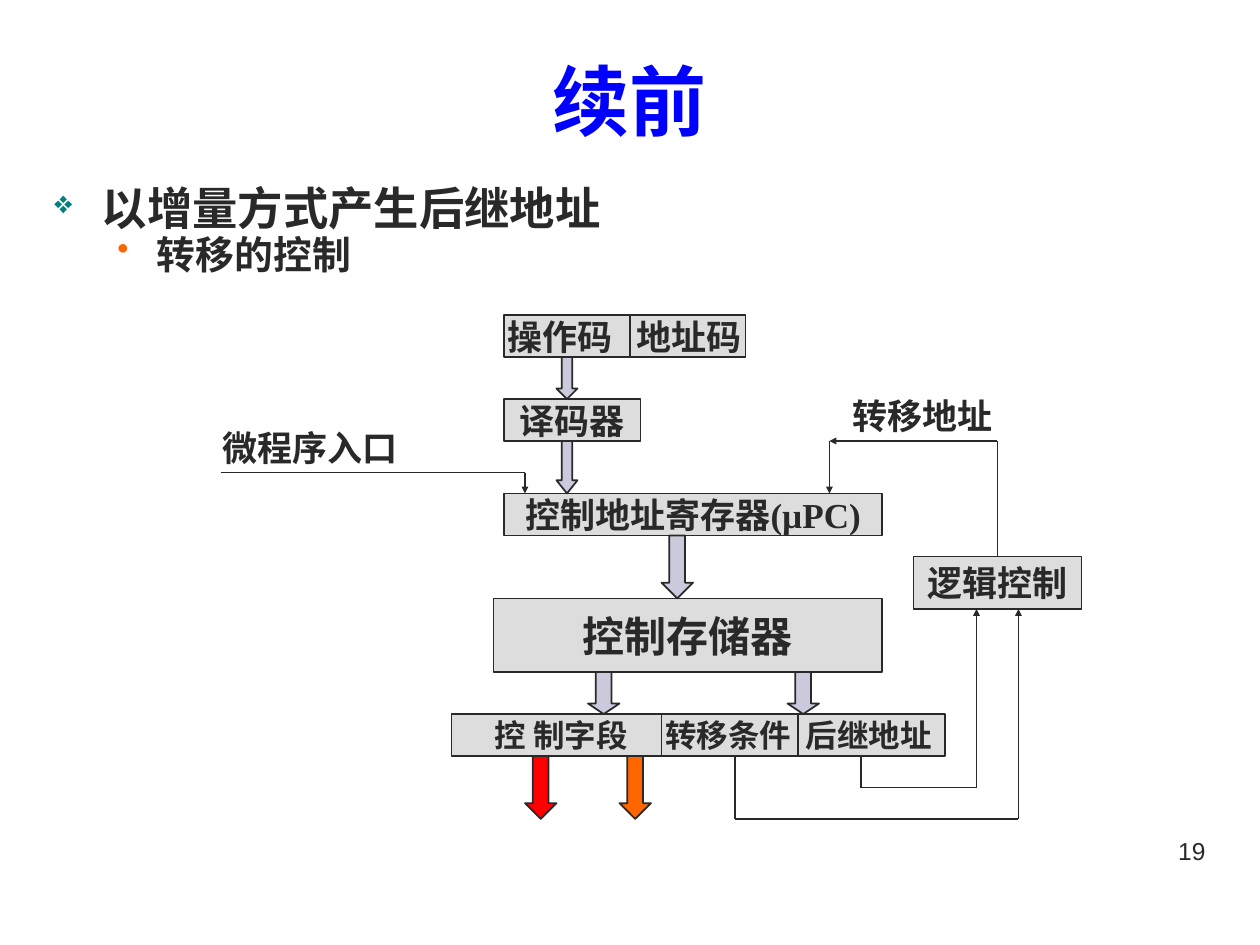
from dataclasses import dataclass

from lxml import etree
from pptx import Presentation
from pptx.dml.color import RGBColor
from pptx.enum import shapes, text
from pptx.oxml.ns import qn
from pptx.util import Emu, Pt

PX = 9525  # 96 px to the inch
INK, GREY, LILAC = "292929", "DDDDDD", "CACADC"
SERIF, SANS = "Times New Roman", "Arial"
LEFT, CENTER, RIGHT = text.PP_ALIGN.LEFT, text.PP_ALIGN.CENTER, text.PP_ALIGN.RIGHT


@dataclass
class Box:
    caption: str
    x: int
    y: int
    width: int
    height: int
    size: float = 20
    indent: int = 0
    tabs: tuple[int, ...] = ()


@dataclass
class Arrow:
    x: int
    y: int
    width: int
    height: int
    fill: str = LILAC


@dataclass
class Wire:
    points: list[tuple[int, int]]
    heads: tuple[int, ...] = ()  # segments that end in an arrowhead


@dataclass
class Label:
    caption: str
    x: int
    y: int
    width: int
    height: int
    size: float = 20
    font: str = SERIF
    color: str = INK
    bold: bool = True
    align: text.PP_ALIGN = LEFT
    anchor: text.MSO_ANCHOR = text.MSO_ANCHOR.TOP


@dataclass
class Bullet:
    caption: str
    level: int
    size: float
    margin: int
    hang: int
    before: int
    mark: str
    color: str
    percent: int


def px(*lengths: int) -> list[Emu]:
    return [Emu(length * PX) for length in lengths]


def rgb(value: str) -> RGBColor:
    return RGBColor.from_string(value)


def child(parent, tag: str, **attributes: str):
    return etree.SubElement(parent, qn(tag), attributes)


def format_runs(paragraph, size: float, font: str, color: str, bold: bool = True) -> None:
    for run in paragraph.runs:
        run.font.size = Pt(size)
        run.font.name = font
        run.font.bold = bold
        run.font.color.rgb = rgb(color)


def add_outlined(slide, kind, item: Box | Arrow, fill: str):
    shape = slide.shapes.add_shape(kind, *px(item.x, item.y, item.width, item.height))
    shape.shadow.inherit = False
    shape.fill.solid()
    shape.fill.fore_color.rgb = rgb(fill)
    shape.line.color.rgb = rgb(INK)
    shape.line.width = Pt(1)
    return shape


def add_box(slide, box: Box) -> None:
    shape = add_outlined(slide, shapes.MSO_SHAPE.RECTANGLE, box, GREY)
    frame = shape.text_frame
    frame.text = box.caption
    frame.vertical_anchor = text.MSO_ANCHOR.MIDDLE
    frame.word_wrap = bool(box.tabs)
    paragraph = frame.paragraphs[0]
    paragraph.alignment = LEFT if box.tabs else CENTER
    if box.tabs:
        frame.margin_left, frame.margin_right = px(box.indent, 0)
        tab_list = child(paragraph._p.get_or_add_pPr(), "a:tabLst")
        for position in box.tabs:
            child(tab_list, "a:tab", pos=str(position * PX), algn="l")
    format_runs(paragraph, box.size, SERIF, INK)


def add_arrow(slide, arrow: Arrow) -> None:
    shape = add_outlined(slide, shapes.MSO_SHAPE.DOWN_ARROW, arrow, arrow.fill)
    shape.adjustments[0] = 0.5
    shape.adjustments[1] = arrow.height / (4 * arrow.width)


def add_wire(slide, wire: Wire) -> None:
    for index, (start, end) in enumerate(zip(wire.points, wire.points[1:])):
        line = slide.shapes.add_connector(shapes.MSO_CONNECTOR.STRAIGHT, *px(*start, *end))
        line.line.color.rgb = rgb(INK)
        line.line.width = Pt(1)
        if index in wire.heads:
            child(line.line._get_or_add_ln(), "a:tailEnd", type="triangle", w="sm", len="sm")
        child(line._element.spPr, "a:effectLst")


def add_label(slide, label: Label) -> None:
    shape = slide.shapes.add_textbox(*px(label.x, label.y, label.width, label.height))
    frame = shape.text_frame
    frame.text = label.caption
    frame.word_wrap = True
    frame.vertical_anchor = label.anchor
    frame.paragraphs[0].alignment = label.align
    format_runs(frame.paragraphs[0], label.size, label.font, label.color, label.bold)


def add_bullets(slide, bullets: list[Bullet]) -> None:
    frame = slide.shapes.add_textbox(*px(32, 144, 896, 76)).text_frame
    frame.text = "\n".join(bullet.caption for bullet in bullets)
    frame.word_wrap = True
    for paragraph, bullet in zip(frame.paragraphs, bullets):
        paragraph.level = bullet.level
        paragraph.line_spacing = 0.7
        paragraph.space_before = Pt(bullet.before)
        properties = paragraph._p.get_or_add_pPr()
        properties.set("marL", str(bullet.margin * PX))
        properties.set("indent", str(-bullet.hang * PX))
        child(child(properties, "a:buClr"), "a:srgbClr", val=bullet.color)
        child(properties, "a:buSzPct", val=str(bullet.percent * 1000))
        child(properties, "a:buChar", char=bullet.mark)
        format_runs(paragraph, bullet.size, SANS, INK)


BULLETS = [
    Bullet("以增量方式产生后继地址", 0, 25.9, 36, 36, 0, "❖", "008080", 70),
    Bullet("转移的控制", 1, 22.2, 78, 30, 6, "•", "FF6600", 85),
]
LABELS = [
    Label("续前", 32, 16, 896, 120, 44, SANS, "0000FF", True, CENTER, text.MSO_ANCHOR.MIDDLE),
    Label("19", 688, 632, 240, 50, 14, SANS, bold=False, align=RIGHT),
    Label("微程序入口", 160, 320, 176, 42),
    Label("转移地址", 640, 296, 152, 42),
]
BOXES = [
    Box("操作码\t地址码", 384, 240, 184, 32, indent=3, tabs=(98,)),
    Box("译码器", 384, 304, 104, 32),
    Box("控制地址寄存器(µPC)", 384, 376, 288, 32),
    Box("控制存储器", 376, 456, 296, 56, 24),
    Box("控 制字段\t转移条件\t后继地址", 344, 544, 376, 32, 18, 33, (130, 237)),
    Box("逻辑控制", 696, 424, 128, 40),
]
ARROWS = [
    Arrow(424, 272, 16, 32),
    Arrow(424, 336, 16, 40),
    Arrow(504, 408, 24, 48),
    Arrow(448, 512, 24, 32),
    Arrow(600, 512, 24, 32),
    Arrow(400, 576, 24, 48, "FF0000"),
    Arrow(472, 576, 24, 48, "FF6600"),
]
WIRES = [
    # Field dividers
    Wire([(480, 240), (480, 272)]),
    Wire([(504, 544), (504, 576)]),
    Wire([(608, 544), (608, 576)]),
    # Entry, jump address, next address and jump condition
    Wire([(168, 360), (400, 360), (400, 376)], (1,)),
    Wire([(760, 424), (760, 336), (632, 336), (632, 376)], (1, 2)),
    Wire([(656, 576), (656, 600), (744, 600), (744, 464)], (2,)),
    Wire([(560, 576), (560, 624), (776, 624), (776, 464)], (2,)),
]


def main() -> None:
    presentation = Presentation()
    presentation.slide_width, presentation.slide_height = px(960, 720)
    slide = presentation.slides.add_slide(presentation.slide_layouts[6])
    # Heading and text
    for label in LABELS:
        add_label(slide, label)
    add_bullets(slide, BULLETS)
    # Control diagram
    for box in BOXES:
        add_box(slide, box)
    for arrow in ARROWS:
        add_arrow(slide, arrow)
    for wire in WIRES:
        add_wire(slide, wire)
    presentation.save("out.pptx")


if __name__ == "__main__":
    main()
